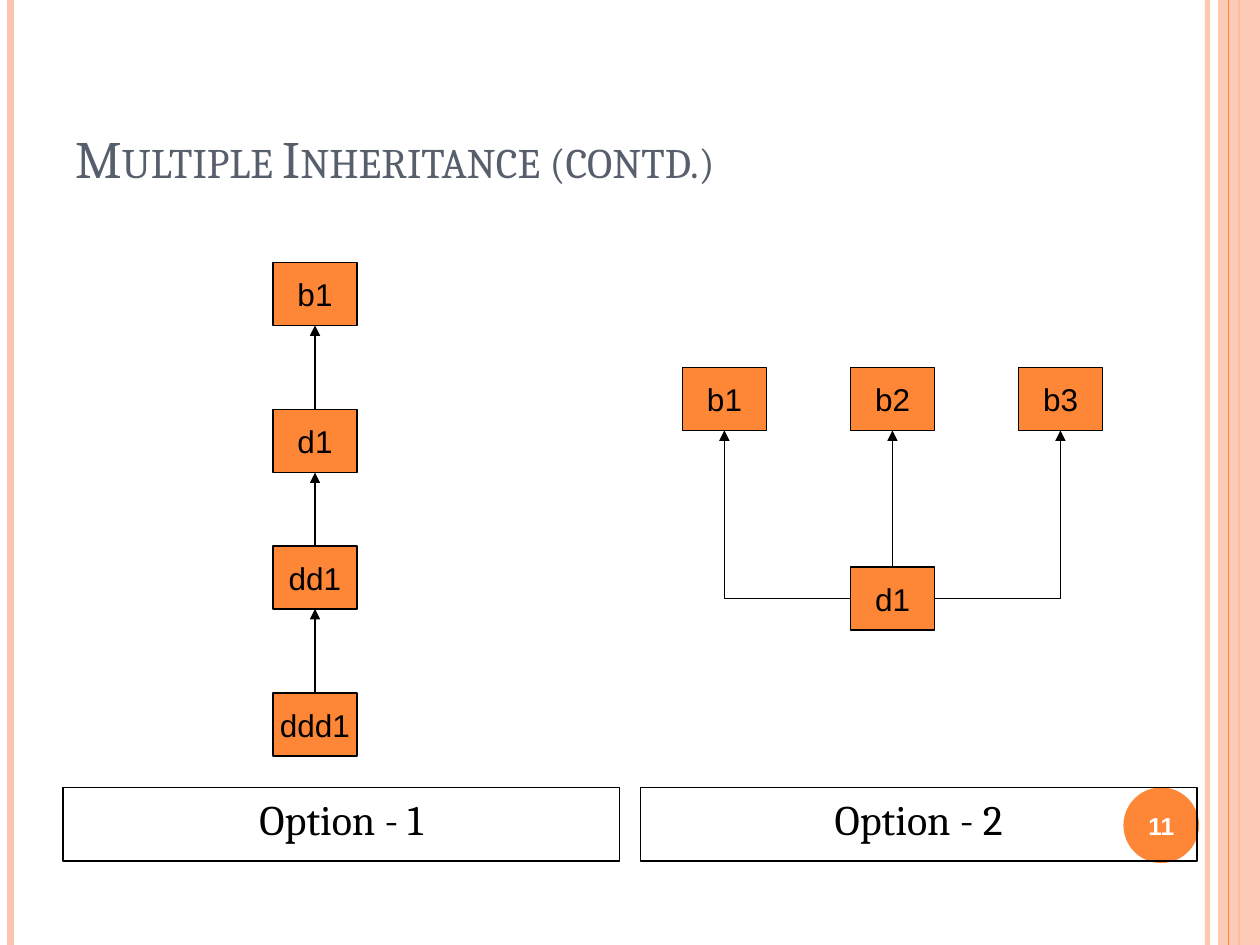
from itertools import pairwise

from lxml import etree
from pptx import Presentation
from pptx.dml.color import RGBColor
from pptx.enum.shapes import MSO_CONNECTOR, MSO_SHAPE
from pptx.enum.text import MSO_ANCHOR, PP_ALIGN
from pptx.oxml.ns import qn
from pptx.util import Pt

PX = 7620
RECT, OVAL = MSO_SHAPE.RECTANGLE, MSO_SHAPE.OVAL
STRAIGHT, ELBOW = MSO_CONNECTOR.STRAIGHT, MSO_CONNECTOR.ELBOW
TOP, MIDDLE, BOTTOM = MSO_ANCHOR.TOP, MSO_ANCHOR.MIDDLE, MSO_ANCHOR.BOTTOM
LEFT, CENTER = PP_ALIGN.LEFT, PP_ALIGN.CENTER
TOP_SIDE, LEFT_SIDE, BOTTOM_SIDE, RIGHT_SIDE = range(4)
ORANGE, PEACH, SLATE = "FE8637", "FEC3AE", "575F6D"
BLACK, WHITE = "000000", "FFFFFF"
NODE_W, NODE_H = 80, 60


def paint(color_format, color, alpha=None):
    color_format.rgb = RGBColor.from_string(color)
    if alpha:
        for value in color_format._xFill.iter(qn("a:srgbClr")):
            etree.SubElement(value, qn("a:alpha"), val=str(alpha * 1000))


def emu(*lengths):
    return [length * PX for length in lengths]


def write(holder, text, size, font, color, align=CENTER, anchor=MIDDLE, wrap=True):
    frame = holder.text_frame
    frame.text = text
    frame.word_wrap = wrap
    frame.vertical_anchor = anchor
    paragraph = frame.paragraphs[0]
    paragraph.alignment = align
    run = paragraph.runs[0]
    run.font.size = Pt(size)
    run.font.name = font
    run.font.color.rgb = RGBColor.from_string(color)
    return paragraph, run


def add_block(slide, kind, box, fill=None, alpha=None, outline=None):
    block = slide.shapes.add_shape(kind, *emu(*box))
    block.shadow.inherit = False
    if fill:
        block.fill.solid()
        paint_fill(block.fill, fill, alpha)
    else:
        block.fill.background()
    if outline:
        block.line.width = Pt(0.75)
        block.line.color.rgb = RGBColor.from_string(outline)
    else:
        block.line.fill.background()
    return block


def paint_fill(fill, color, alpha=None):
    fill.fore_color.rgb = RGBColor.from_string(color)
    if alpha:
        value = fill._xPr.find(".//" + qn("a:srgbClr"))
        etree.SubElement(value, qn("a:alpha"), val=str(alpha * 1000))


def add_line(slide, kind, ends, color, width, alpha=None):
    line = slide.shapes.add_connector(kind, *emu(*ends))
    line.line.width = Pt(width)
    line.line.fill.solid()
    paint_fill(line.line.fill, color, alpha)
    etree.SubElement(line._element.spPr, qn("a:effectLst"))
    return line


def add_arrow(slide, child, child_side, parent, kind=STRAIGHT):
    arrow = add_line(slide, kind, (0, 0, 0, 0), BLACK, 0.75)
    arrow.begin_connect(child, child_side)
    arrow.end_connect(parent, BOTTOM_SIDE)
    if kind == ELBOW:
        arrow._element.spPr.find(qn("a:prstGeom")).set("prst", "bentConnector2")
    outline = arrow._element.spPr.find(qn("a:ln"))
    etree.SubElement(outline, qn("a:tailEnd"), type="triangle")


def add_node(slide, name, x, y):
    node = add_block(slide, RECT, (x, y, NODE_W, NODE_H), ORANGE, outline=BLACK)
    write(node, name, 18, "Arial", BLACK, wrap=False)
    return node


def add_borders(slide, width, height):
    def rail(x, color, weight, alpha=None):
        add_line(slide, STRAIGHT, (x, 0, x, height), color, weight, alpha)

    rail(width - 50, PEACH, 3, 93)
    rail(10, PEACH, 4.5)
    rail(width - 20, ORANGE, 1.5)
    add_block(slide, RECT, (width - 40, 0, 40, height), PEACH, 87)
    rail(width - 30, ORANGE, 0.75)


def add_title(slide, box, text):
    title = slide.shapes.add_textbox(*emu(*box))
    _, run = write(title, text, 30, "Cambria", SLATE, LEFT, BOTTOM)
    run.font._element.set("cap", "small")


def add_page_number(slide, x, y, number):
    add_block(slide, OVAL, (x, y, 72, 72), ORANGE)
    label = slide.shapes.add_textbox(*emu(x - 4, y + 2, 80, 68))
    _, run = write(label, number, 14, "Arial", WHITE)
    run.font.bold = True


def add_caption(slide, box, text):
    caption = add_block(slide, RECT, box, outline=BLACK)
    paragraph, _ = write(caption, text, 24, "Cambria", BLACK, anchor=TOP)
    paragraph.space_before = Pt(6)


def add_chain(slide, x, y, levels):
    nodes = [add_node(slide, name, x, y + offset) for name, offset in levels]
    for parent, child in pairwise(nodes):
        add_arrow(slide, child, TOP_SIDE, parent)


def add_fan(slide, x, y, bases, derived):
    step = 160
    parents = [add_node(slide, name, x + i * step, y) for i, name in enumerate(bases)]
    child = add_node(slide, derived, x + step, y + 190)
    left, middle, right = parents
    add_arrow(slide, child, TOP_SIDE, middle)
    add_arrow(slide, child, LEFT_SIDE, left, ELBOW)
    add_arrow(slide, child, RIGHT_SIDE, right, ELBOW)


def main():
    width, height = 1200, 900
    deck = Presentation()
    deck.slide_width, deck.slide_height = emu(width, height)
    slide = deck.slides.add_slide(deck.slide_layouts[6])
    add_borders(slide, width, height)
    add_title(slide, (60, 36, 980, 150), "Multiple Inheritance (contd.)")
    add_page_number(slide, 1070, 750, "11")
    for i in range(2):
        add_caption(slide, (60 + i * 550, 750, 530, 70), f"Option - {i + 1}")
    add_chain(slide, 260, 250, [("b1", 0), ("d1", 140), ("dd1", 270), ("ddd1", 410)])
    add_fan(slide, 650, 350, ["b1", "b2", "b3"], "d1")
    deck.save("out.pptx")


if __name__ == "__main__":
    main()
